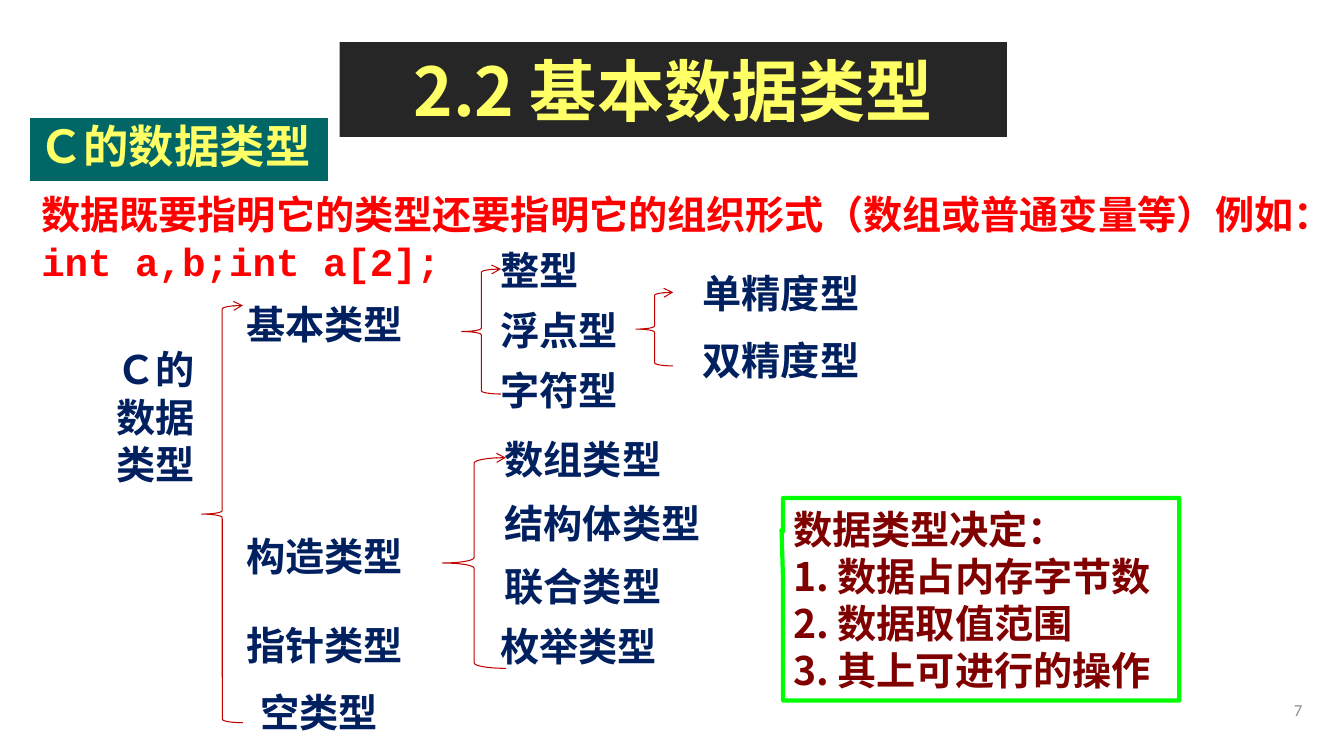
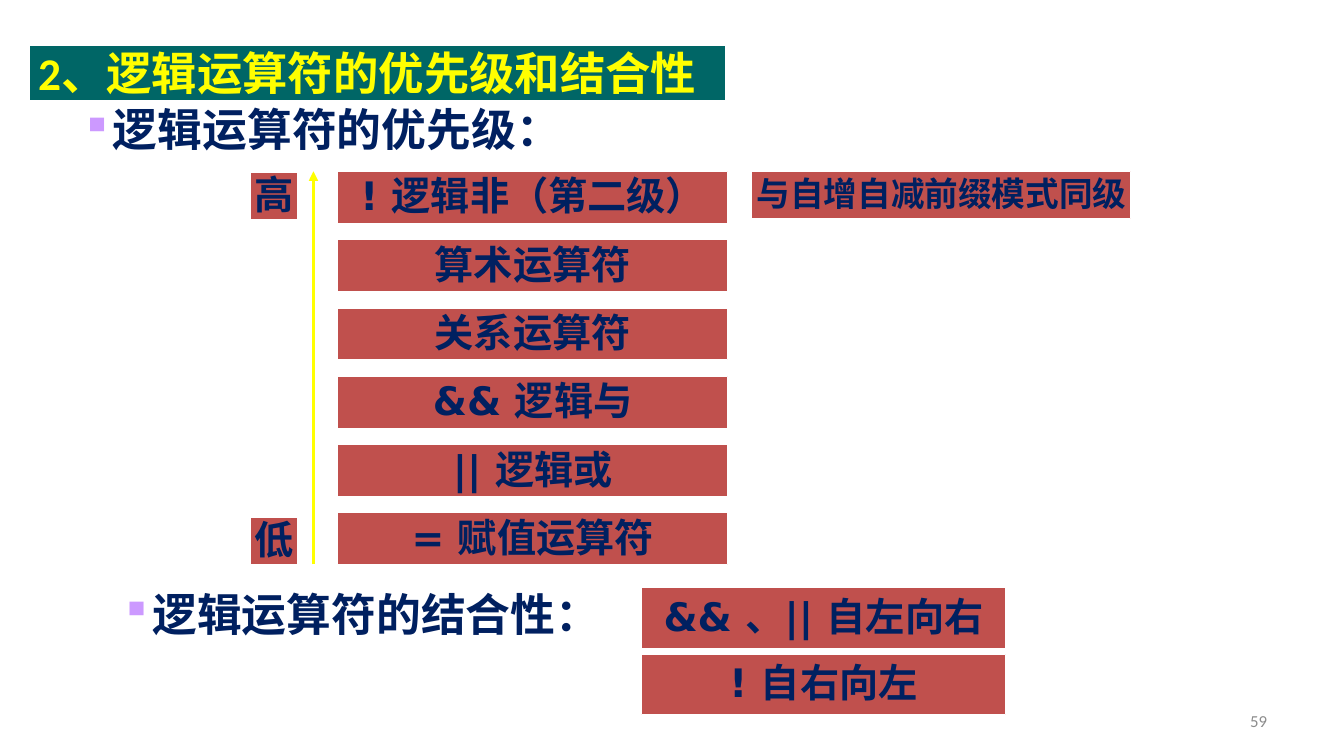
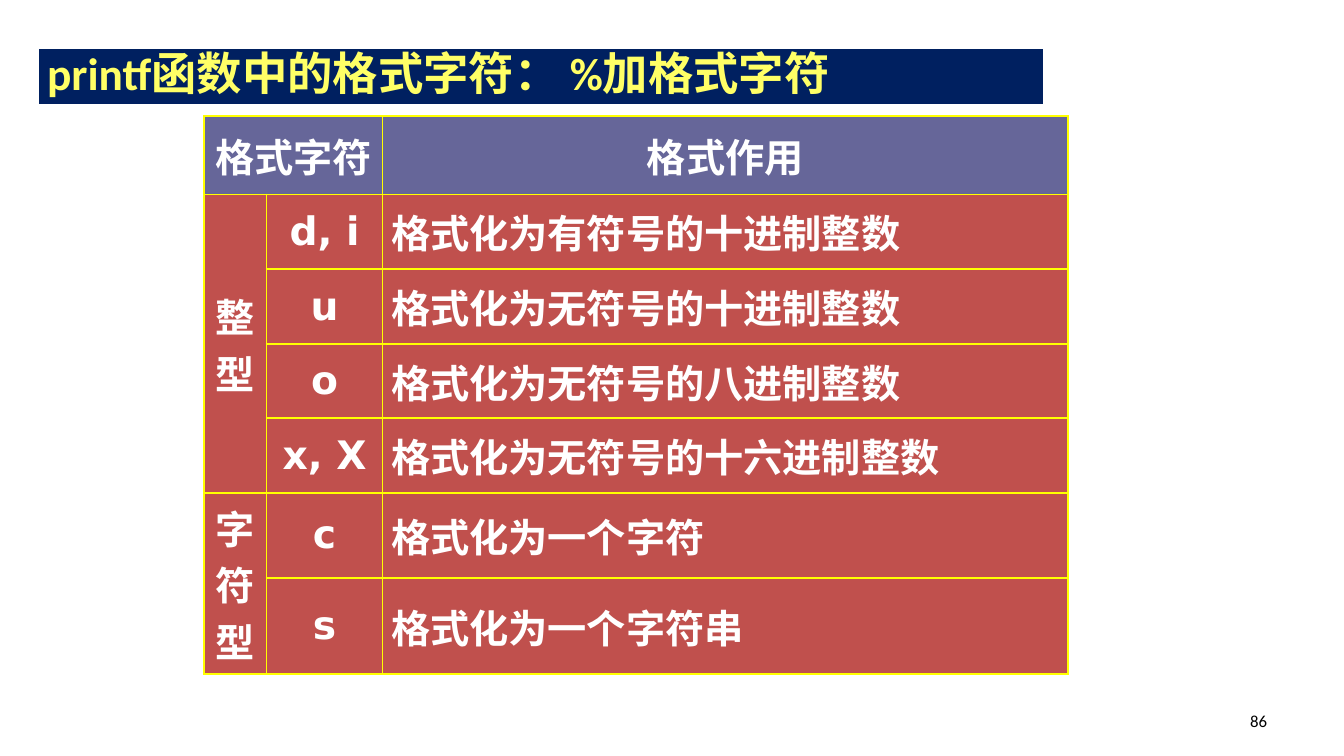
from lxml import etree
from pptx import Presentation
from pptx.dml.color import RGBColor
from pptx.enum.shapes import MSO_CONNECTOR, MSO_SHAPE
from pptx.enum.text import MSO_ANCHOR, PP_ALIGN
from pptx.oxml.ns import qn
from pptx.util import Pt

LEFT, MID, RIGHT = PP_ALIGN.LEFT, PP_ALIGN.CENTER, PP_ALIGN.RIGHT
TOP, CENTER = MSO_ANCHOR.TOP, MSO_ANCHOR.MIDDLE
RECT, BRACE = MSO_SHAPE.RECTANGLE, MSO_SHAPE.LEFT_BRACE
CALL, STEP = MSO_SHAPE.RECTANGULAR_CALLOUT, MSO_SHAPE.FLOWCHART_PROCESS
LINE = MSO_CONNECTOR.STRAIGHT

HAN, SANS, BODY, MONO = "Noto Sans CJK SC", "DejaVu Sans", "Calibri", "Courier New"
COLORS = {
    "white": "FFFFFF", "black": "000000", "gray": "8C8C8C", "dark": "262626",
    "teal": "006666", "navy": "002060", "lemon": "FFFF66", "yellow": "FFFF00",
    "red": "FF0000", "brick": "C0504D", "wine": "C00000", "maroon": "800000",
    "green": "00FF00", "lilac": "CC99FF", "slate": "666699",
}

LABELS = [
    (176, [(214.6, "基本类型"), (380.2, "构造类型"), (443.5, "指针类型")]),
    (186, [(491.8, "空类型")]),
    (357.5, [(175.7, "整型"), (218.9, "浮点型"), (261.4, "字符型"), (444.2, "枚举类型")]),
    (360.5, [(311, "数组类型"), (356.4, "结构体类型"), (401.8, "联合类型")]),
    (502, [(192.2, "单精度型"), (240.5, "双精度型")]),
]
BRACES = [
    (144, 218.2, 29.5, 298), (329.8, 192.2, 28, 89.3),
    (316, 326.9, 45.4, 150.5), (454.3, 208.8, 26.6, 52.6),
]
FACTS = ["数据类型决定：", "1. 数据占内存字节数", "2. 数据取值范围", "3. 其上可进行的操作"]
INTRO = ["数据既要指明它的类型还要指明它的组织形式（数组或普通变量等）例如：", "int a,b;int a[2];"]

RANKS = ["! 逻辑非（第二级）", "算术运算符", "关系运算符", "&& 逻辑与", "|| 逻辑或", "= 赋值运算符"]
ORDERS = ["&& 、|| 自左向右", "! 自右向左"]
POINTS = [(58.2, 72.7, "逻辑运算符的优先级："), (86.3, 419, "逻辑运算符的结合性：")]

HEADS = ["格式字符", "", "格式作用"]
ROWS = [
    ("整型", "d, i", "格式化为有符号的十进制整数"),
    ("", "u", "格式化为无符号的十进制整数"),
    ("", "o", "格式化为无符号的八进制整数"),
    ("", "x, X", "格式化为无符号的十六进制整数"),
    ("字符型", "c", "格式化为一个字符"),
    ("", "s", "格式化为一个字符串"),
]
WIDTHS = [44.6, 82.8, 489.6]
HEIGHTS = [56.2] + [53.3] * 4 + [60.5, 69.1]
MERGES = [(0, 0, 0, 1), (1, 0, 4, 0), (5, 0, 6, 0)]


def rgb(name):
    return RGBColor.from_string(COLORS[name])


def sub(parent, tag, **attrs):
    return etree.SubElement(parent, qn(tag), {k: str(v) for k, v in attrs.items()})


def write(frame, text, size=28, color="navy", font=HAN, bold=True, align=LEFT,
          pitch=None, bullet=None):
    lines = [text] if isinstance(text, str) else text
    for i, line in enumerate(lines):
        para = frame.paragraphs[0] if i == 0 else frame.add_paragraph()
        para.alignment = align
        if pitch:
            para.line_spacing = Pt(pitch)
        if bullet:
            props = para._p.get_or_add_pPr()
            props.set("marL", str(Pt(20)))
            props.set("indent", str(-Pt(20)))
            sub(sub(props, "a:buClr"), "a:srgbClr", val=COLORS["lilac"])
            sub(props, "a:buSzPct", val=94000)
            sub(props, "a:buChar", char=bullet)
        run = para.add_run()
        run.text = line
        run.font.size, run.font.bold, run.font.name = Pt(size), bold, font
        run.font.color.rgb = rgb(color)
        sub(run._r.get_or_add_rPr(), "a:ea", typeface=HAN)


def fit(frame, ins=(0, 0, 0, 0), anchor=CENTER, wrap=True):
    frame.margin_left, frame.margin_top, frame.margin_right, frame.margin_bottom = map(Pt, ins)
    frame.vertical_anchor, frame.word_wrap = anchor, wrap
    return frame


def label(slide, box, text, anchor=CENTER, wrap=True, **form):
    area = slide.shapes.add_textbox(*map(Pt, box))
    write(fit(area.text_frame, anchor=anchor, wrap=wrap), text, **form)


def shape(slide, kind, box, fill=None, line=None, width=0.75):
    item = slide.shapes.add_shape(kind, *map(Pt, box))
    item.shadow.inherit = False
    if fill:
        item.fill.solid()
        item.fill.fore_color.rgb = rgb(fill)
    else:
        item.fill.background()
    if line:
        item.line.color.rgb = rgb(line)
        item.line.width = Pt(width)
    else:
        item.line.fill.background()
    return item


def block(slide, box, text, size=28, font=SANS):
    item = shape(slide, STEP, box, "brick", "white")
    write(fit(item.text_frame, (0, 0, 0, 3), wrap=False), text, size=size, font=font, align=MID)


def title(slide, box, text, fill="teal", color="lemon", low=5.8):
    item = shape(slide, RECT, box, fill, "white", 3)
    write(fit(item.text_frame, (7.2, 0, 7.2, low)), text, size=32.4, color=color, font=BODY)


def number(slide, text, x=688.3, y=500.4, color="gray"):
    label(slide, (x, y, 216.7, 28.8), text, size=12, color=color, font=BODY, bold=False, align=RIGHT)


def types(slide):
    title(slide, (20.2, 82.8, 215.3, 48.2), "Ｃ的数据类型")
    call = shape(slide, CALL, (559.4, 355.7, 283, 144.7), "white", "green", 3)
    call.adjustments[0], call.adjustments[1] = -0.504, -0.343
    write(fit(call.text_frame, (7.2, 3.6, 7.2, 3.6)), FACTS, color="maroon", pitch=33.6)
    label(slide, (81.5, 247, 58.8, 101), "Ｃ的数据类型", anchor=TOP, align=MID, pitch=33.6)
    for x, names in LABELS:
        for y, name in names:
            label(slide, (x, y, 160, 33.6), name)
    for box in BRACES:
        brace = shape(slide, BRACE, box, line="wine")
        sub(brace.line._get_or_add_ln(), "a:tailEnd", type="arrow")
    label(slide, (29.5, 135.4, 911.5, 68), INTRO, anchor=TOP, wrap=False,
          color="red", font=MONO, pitch=34)
    number(slide, "7", x=713.5, y=492.5)
    band = shape(slide, RECT, (242.6, 30.2, 476.6, 67.7), "dark")
    write(fit(band.text_frame), "2.2 基本数据类型", size=48, color="lemon", align=MID)


def logic(slide):
    title(slide, (20.2, 31, 499, 41.8), "2、逻辑运算符的优先级和结合性", color="yellow", low=0)
    for x, y, text in POINTS:
        label(slide, (x, y, 390, 38.9), text, size=32, bullet="▪")
    for i, text in enumerate(RANKS):
        block(slide, (241.2, 122.4 + 48.8 * i, 278.6, 37), text)
    for y, text in [(123.1, "高"), (369.4, "低")]:
        block(slide, (179.3, y, 33.1, 33.8), text)
    for i, text in enumerate(ORDERS):
        block(slide, (457.9, 419.8 + 47.5 * i, 260.6, 43.2), text)
    block(slide, (537.1, 122.4, 270.7, 33.8), "与自增自减前缀模式同级", size=24, font=HAN)
    arrow = slide.shapes.add_connector(LINE, Pt(223.9), Pt(403.2), Pt(223.9), Pt(122.4))
    arrow.line.color.rgb = rgb("yellow")
    arrow.line.width = Pt(2.25)
    sub(arrow.line._get_or_add_ln(), "a:tailEnd", type="triangle")
    sub(arrow._element.spPr, "a:effectLst")
    number(slide, "59")


def edge(cell):
    props = cell._tc.get_or_add_tcPr()
    for i, side in enumerate("LRTB"):
        line = sub(props, "a:ln" + side, w=Pt(1.5))
        sub(sub(line, "a:solidFill"), "a:srgbClr", val=COLORS["yellow"])
        props.insert(i, line)


def formats(slide):
    number(slide, "86", color="black")
    title(slide, (26.6, 33.8, 720, 41.8), "printf函数中的格式字符： %加格式字符", fill="navy")
    data = [HEADS] + ROWS
    frame = slide.shapes.add_table(len(data), len(WIDTHS), Pt(145.8), Pt(82.8),
                                   Pt(sum(WIDTHS)), Pt(sum(HEIGHTS)))
    grid = frame.table
    grid.first_row = grid.horz_banding = False
    for col, width in zip(grid.columns, WIDTHS):
        col.width = Pt(width)
    for row, height in zip(grid.rows, HEIGHTS):
        row.height = Pt(height)
    for top, left, low, right in MERGES:
        grid.cell(top, left).merge(grid.cell(low, right))
    for r, row in enumerate(data):
        for c, text in enumerate(row):
            cell = grid.cell(r, c)
            note = r > 0 and c == 2
            cell.margin_left, cell.margin_right = Pt(6.3 if note else 0), 0
            cell.margin_top = cell.margin_bottom = Pt(2.9)
            cell.vertical_anchor = CENTER
            cell.fill.solid()
            cell.fill.fore_color.rgb = rgb("brick" if r else "slate")
            edge(cell)
            if text:
                write(cell.text_frame, text, color="white", font=SANS if r and c == 1 else HAN,
                      align=LEFT if note else MID)


def main():
    deck = Presentation()
    deck.slide_width, deck.slide_height = Pt(960), Pt(540)
    for draw in (types, logic, formats):
        draw(deck.slides.add_slide(deck.slide_layouts[6]))
    deck.save("out.pptx")


if __name__ == "__main__":
    main()
